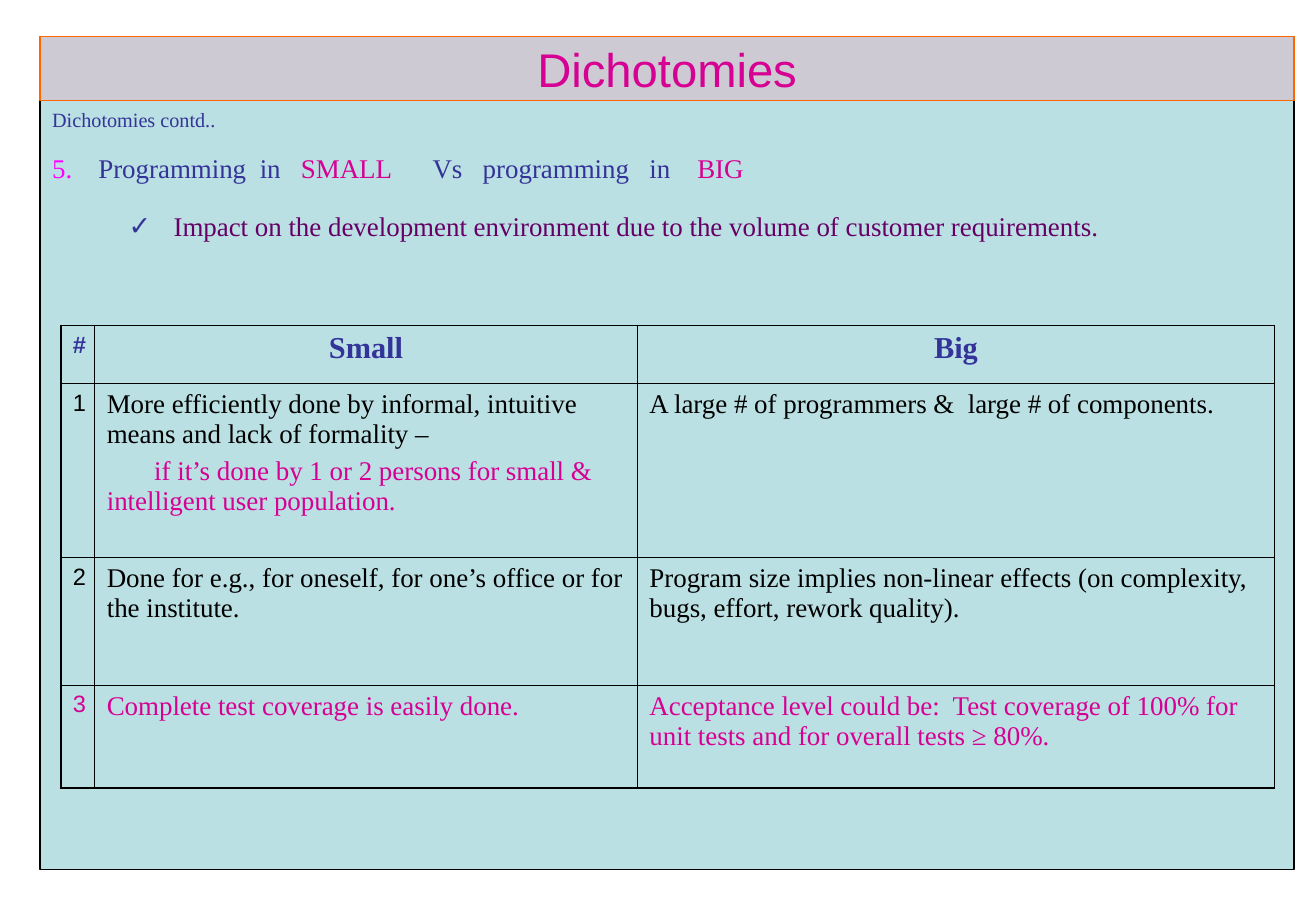
"""Build the Dichotomies slide."""
from dataclasses import dataclass
from typing import Any

from lxml.etree import SubElement
from pptx import Presentation
from pptx.dml.color import RGBColor
from pptx.enum.shapes import MSO_SHAPE
from pptx.enum.text import MSO_ANCHOR, MSO_AUTO_SIZE, PP_ALIGN
from pptx.oxml.ns import qn
from pptx.util import Inches, Pt

SERIF, SANS = "Times New Roman", "Arial"
BLACK, NAVY, PINK, PLUM = "000000", "333399", "D60093", "660066"


@dataclass
class Span:
    """Hold a run of text and the points of extra gap after it."""
    text: str
    hue: str = BLACK
    gap: int = 0


@dataclass
class Para:
    """Hold one paragraph and its format."""
    spans: list[Span]
    size: int = 16
    face: str = SERIF
    bold: bool = False
    align: PP_ALIGN = PP_ALIGN.LEFT
    before: float = 0
    left: float = 0
    indent: float = 0
    level: int = 0
    mark: tuple[str, dict[str, str], str] | None = None


@dataclass
class Box:
    """Hold a place on the slide with its fill and line."""
    left: float
    top: float
    width: float
    height: float
    fill: str = ""
    line: str = ""


TITLE = Box(0.33, 0.3, 10.33, 0.53, "CECAD4", "FF6600")
PANEL = Box(0.33, 0.83, 10.33, 6.33, "BBE0E3", BLACK)
BODY = Box(0.33, 0.83, 10.33, 1.7)
GRID = Box(0.5, 2.68, 10, 3.81)
COLS = [0.28, 4.47, 5.25]
ROWS = [0.48, 1.43, 1.05, 0.85]

HEAD = [Para([Span("Dichotomies", PINK)], 28, SANS, align=PP_ALIGN.CENTER)]
LIST = [
    Para([Span("Dichotomies contd..", NAVY)], 12, left=0.38, indent=-0.38),
    Para([Span("Programming", NAVY, 4), Span("in", NAVY, 8), Span("SMALL", PINK, 20),
          Span("Vs", NAVY, 8), Span("programming", NAVY, 8), Span("in", NAVY, 12),
          Span("BIG", PINK)], before=12, left=0.38, indent=-0.38,
         mark=("a:buAutoNum", {"type": "arabicPeriod", "startAt": "5"}, "FF00FF")),
    Para([Span("Impact on the development environment due to the volume of "
               "customer requirements.", PLUM)], before=15.5, left=1, indent=-0.37,
         level=1, mark=("a:buChar", {"char": "✓"}, NAVY)),
]
CELLS = [
    ("#", ["Small"], ["Big"]),
    ("1", ["More efficiently done by informal, intuitive means and lack of formality –",
           "if it’s done by 1 or 2 persons for small & intelligent user population."],
     ["A large # of programmers &  large # of components."]),
    ("2", ["Done for e.g., for oneself, for one’s office or for the institute."],
     ["Program size implies non-linear effects (on complexity, bugs, effort, "
      "rework quality)."]),
    ("3", ["Complete test coverage is easily done."],
     ["Acceptance level could be:  Test coverage of 100% for unit tests and for "
      "overall tests ≥ 80%."]),
]


def tint(code: str) -> RGBColor:
    """Turn a hex string into a colour."""
    return RGBColor.from_string(code)


def apply(item: Any, form: dict[str, Any]) -> None:
    """Set each format value on an item."""
    for key, value in form.items():
        setattr(item, key, value)


def place(box: Box) -> dict[str, int]:
    """Give the place of a box as format values."""
    return {key: Inches(getattr(box, key)) for key in ("left", "top", "width", "height")}


def paint(shape: Any, box: Box) -> None:
    """Move a shape to its box and colour it."""
    apply(shape, place(box))
    if box.fill:
        shape.fill.solid()
        shape.fill.fore_color.rgb = tint(box.fill)
        shape.line.color.rgb = tint(box.line)
        shape.line.width = Pt(0.75)


def write(frame: Any, paras: list[Para]) -> None:
    """Fill a text frame with paragraphs."""
    for num, para in enumerate(paras):
        line = frame.add_paragraph() if num else frame.paragraphs[0]
        apply(line, {"alignment": para.align, "level": para.level,
                     "space_before": Pt(para.before), "space_after": Pt(0)})
        props = line._p.get_or_add_pPr()
        props.set("marL", str(Inches(para.left)))
        props.set("indent", str(Inches(para.indent)))
        if para.mark:
            tag, form, hue = para.mark
            SubElement(SubElement(props, qn("a:buClr")), qn("a:srgbClr"), val=hue)
            SubElement(props, qn(tag), form)
        else:
            SubElement(props, qn("a:buNone"))
        for span in para.spans:
            for text in [span.text, " "] if span.gap else [span.text]:
                run = line.add_run()
                run.text = text
                apply(run.font, {"size": Pt(para.size), "name": para.face,
                                 "bold": para.bold})
                run.font.color.rgb = tint(span.hue)
                if text == " ":
                    run.font._element.set("spc", str(span.gap * 100))


def edge(cell: Any, row: int, col: int) -> None:
    """Draw cell borders, heavy on the rim of the table."""
    props = cell._tc.get_or_add_tcPr()
    rim = {"L": col == 0, "R": col == len(COLS) - 1,
           "T": row == 0, "B": row == len(ROWS) - 1}
    for side, heavy in rim.items():
        line = SubElement(props, qn(f"a:ln{side}"), w=str(Pt(1.08 if heavy else 0.45)))
        SubElement(SubElement(line, qn("a:solidFill")), qn("a:srgbClr"), val=BLACK)
    cell.fill.background()


def style(row: int, col: int, texts: list[str]) -> list[Para]:
    """Give the paragraphs of one table cell."""
    top, last = row == 0, row == len(ROWS) - 1
    base = NAVY if top else PINK if last else BLACK
    size, face = (14, SANS) if col == 0 else (18 if top else 16, SERIF)
    return [Para([Span(text, PINK if num else base)], size, face, top,
                 PP_ALIGN.CENTER if top else PP_ALIGN.LEFT,
                 before=4 * num, indent=0.39 * num)
            for num, text in enumerate(texts)]


def chart(slide: Any) -> None:
    """Add the table of small and big."""
    table = slide.shapes.add_table(len(ROWS), len(COLS), **place(GRID)).table
    apply(table, {"first_row": False, "horz_banding": False})
    for col, width in enumerate(COLS):
        table.columns[col].width = Inches(width)
    for row, (height, texts) in enumerate(zip(ROWS, CELLS)):
        table.rows[row].height = Inches(height)
        for col, text in enumerate(texts):
            cell = table.cell(row, col)
            edge(cell, row, col)
            write(cell.text_frame, style(row, col, list(text)))


def main() -> None:
    """Build and save the deck."""
    deck = Presentation()
    apply(deck, {"slide_width": Inches(10.84), "slide_height": Inches(7.5)})
    slide = deck.slides.add_slide(deck.slide_layouts[1])
    panel = slide.shapes.add_shape(MSO_SHAPE.RECTANGLE, **place(PANEL))
    panel.shadow.inherit = False
    paint(panel, PANEL)
    slide.shapes._spTree.insert(2, panel._element)
    title, body = slide.shapes.title, slide.placeholders[1]
    for shape, box, paras, anchor in ((title, TITLE, HEAD, MSO_ANCHOR.MIDDLE),
                                      (body, BODY, LIST, MSO_ANCHOR.TOP)):
        paint(shape, box)
        apply(shape.text_frame, {"word_wrap": True, "auto_size": MSO_AUTO_SIZE.NONE,
                                 "vertical_anchor": anchor})
        write(shape.text_frame, paras)
    chart(slide)
    deck.save("out.pptx")


if __name__ == "__main__":
    main()
